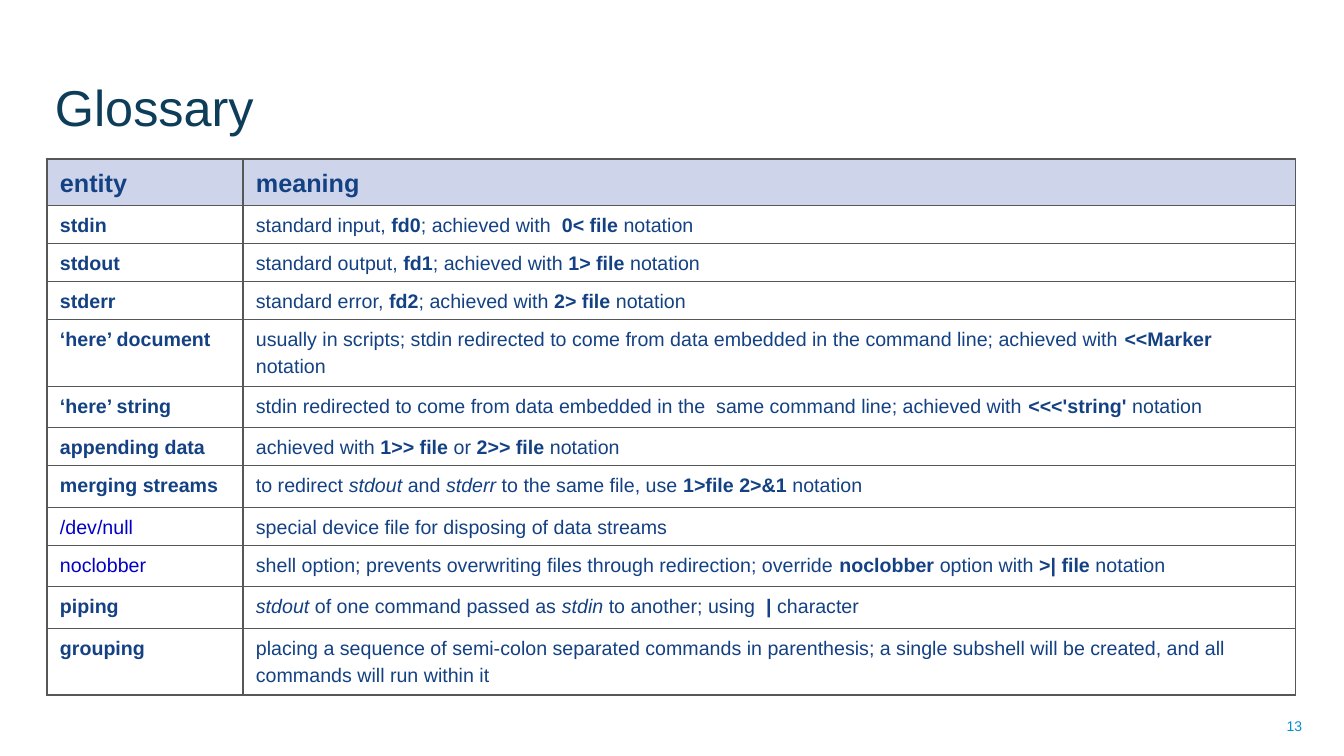
from dataclasses import dataclass

from lxml.etree import SubElement
from pptx import Presentation
from pptx.dml.color import RGBColor
from pptx.enum.text import MSO_ANCHOR, PP_ALIGN
from pptx.oxml.ns import qn
from pptx.util import Emu, Pt


@dataclass(frozen=True)
class Theme:
    font: str = "Arial"
    title: str = "0D3D59"
    text: str = "134183"
    code: str = "0000C8"
    page: str = "008FD0"
    head: str = "CED5EA"
    line: str = "565759"
    big: int = 36
    mid: int = 18
    body: int = 14
    small: int = 10
    thin: float = 1
    thick: float = 2.25


@dataclass(frozen=True)
class Entry:
    name: str
    mean: str
    high: int
    color: str = Theme.text
    size: int = Theme.body


LOOK = Theme()
COLS = (196, 1053)
ROWS = (
    Entry("*entity*", "*meaning*", 44, size=LOOK.mid),
    Entry("*stdin*", "standard input, *fd0*; achieved with  *0< file* notation", 37),
    Entry("*stdout*", "standard output, *fd1*; achieved with *1> file* notation", 37),
    Entry("*stderr*", "standard error, *fd2*; achieved with *2> file* notation", 37),
    Entry("*‘here’ document*", "usually in scripts; stdin redirected to come from data embedded "
          "in the command line; achieved with *<<Marker* notation", 62),
    Entry("*‘here’ string*", "stdin redirected to come from data embedded in the  same "
          "command line; achieved with *<<<'string' *notation", 41),
    Entry("*appending data*", "achieved with *1>> file* or *2>> file* notation", 37),
    Entry("*merging streams*", "to redirect _stdout_ and _stderr_ to the same file, "
          "use *1>file 2>&1* notation", 42),
    Entry("/dev/null", "special device file for disposing of data streams", 37, LOOK.code),
    Entry("noclobber", "shell option; prevents overwriting files through redirection; "
          "override *noclobber* option with *>| file* notation", 41, LOOK.code),
    Entry("*piping*", "_stdout_ of one command passed as _stdin_ to another; "
          "using  *|* character", 42),
    Entry("*grouping*", "placing a sequence of semi-colon separated commands in parenthesis; "
          "a single subshell will be created, and all commands will run within it", 65),
)


def px(size: float) -> Emu:
    return Emu(round(size * 914400 / 100.8))


def write(frame, text: str, *, size: int, color: str, align=PP_ALIGN.LEFT,
          space: float = 1) -> None:
    frame.word_wrap = True
    para = frame.paragraphs[0]
    para.alignment = align
    para.line_spacing = space
    for i, part in enumerate(text.split("*")):
        for j, bit in enumerate(part.split("_")):
            if bit:
                run = para.add_run()
                run.text = bit
                font = run.font
                font.name, font.size = LOOK.font, Pt(size)
                font.bold, font.italic = i % 2 == 1, j % 2 == 1
                font.color.rgb = RGBColor.from_string(color)


def label(slide, box: tuple[int, int, int, int], text: str, anchor, **style) -> None:
    frame = slide.shapes.add_textbox(*map(px, box)).text_frame
    frame.vertical_anchor = anchor
    write(frame, text, **style)


def edge(cell, widths: dict[str, float]) -> None:
    props = cell._tc.get_or_add_tcPr()
    for spot, (side, width) in enumerate(widths.items()):
        line = SubElement(props, qn(f"a:ln{side}"), w=str(Pt(width)))
        fill = SubElement(line, qn("a:solidFill"))
        SubElement(fill, qn("a:srgbClr"), val=LOOK.line)
        props.insert(spot, line)


def glossary(slide, left: int, top: int) -> None:
    high = sum(row.high for row in ROWS)
    table = slide.shapes.add_table(len(ROWS), len(COLS), px(left), px(top),
                                   px(sum(COLS)), px(high)).table
    table.first_row = table.horz_banding = False
    for col, width in zip(table.columns, COLS):
        col.width = px(width)
    last = len(ROWS) - 1
    for i, row in enumerate(ROWS):
        table.rows[i].height = px(row.high)
        for j, (text, color) in enumerate(((row.name, row.color), (row.mean, LOOK.text))):
            cell = table.cell(i, j)
            cell.margin_left = cell.margin_right = px(13)
            cell.margin_top = cell.margin_bottom = px(5)
            if i == 0:
                cell.fill.solid()
                cell.fill.fore_color.rgb = RGBColor.from_string(LOOK.head)
            else:
                cell.fill.background()
            write(cell.text_frame, text, size=row.size, color=color, space=1.2)
            edge(cell, {"L": LOOK.thick if j == 0 else LOOK.thin, "R": LOOK.thin,
                        "T": LOOK.thick if i == 0 else LOOK.thin,
                        "B": LOOK.thick if i == last else LOOK.thin})


deck = Presentation()
deck.slide_width, deck.slide_height = px(1344), px(756)
slide = deck.slides.add_slide(deck.slide_layouts[6])
label(slide, (999, 706, 313, 40), "13", MSO_ANCHOR.MIDDLE,
      size=LOOK.small, color=LOOK.page, align=PP_ALIGN.RIGHT)
label(slide, (45, 14, 1006, 128), "Glossary", MSO_ANCHOR.BOTTOM,
      size=LOOK.big, color=LOOK.title)
glossary(slide, 47, 159)
deck.save("out.pptx")
